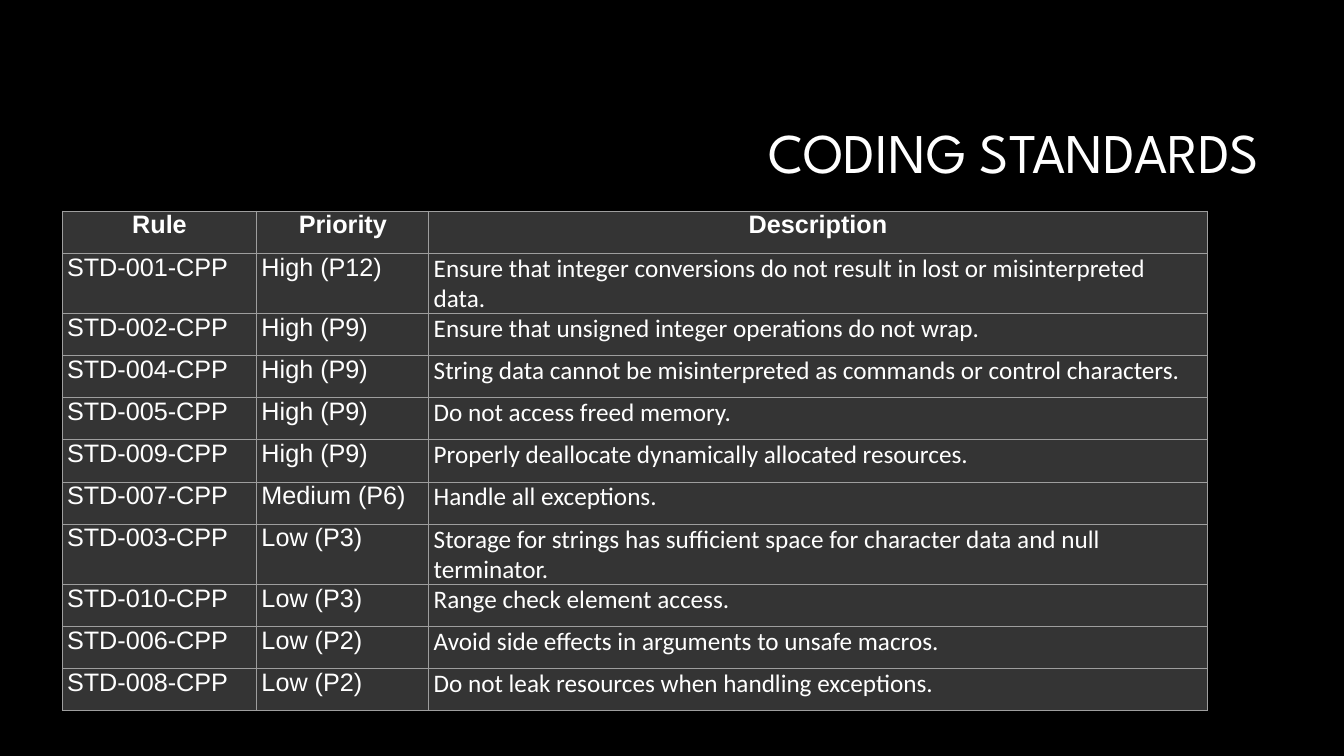
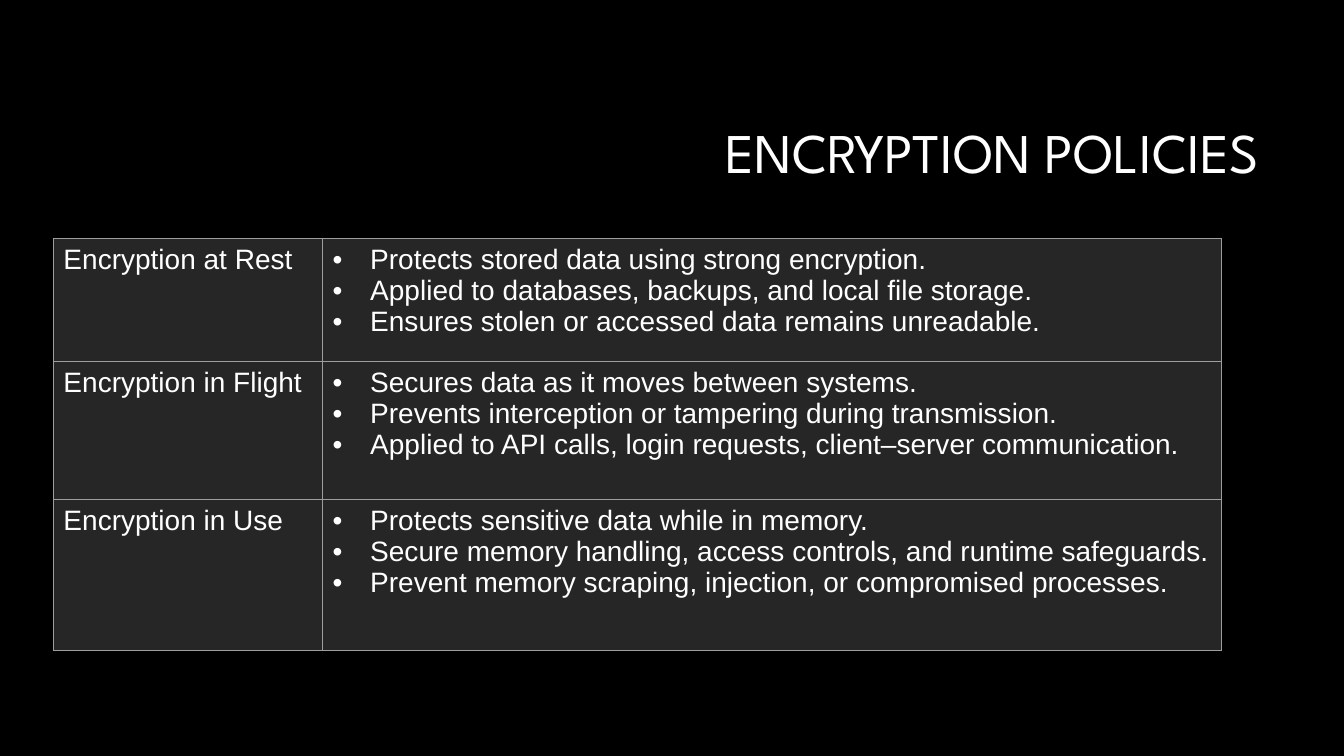
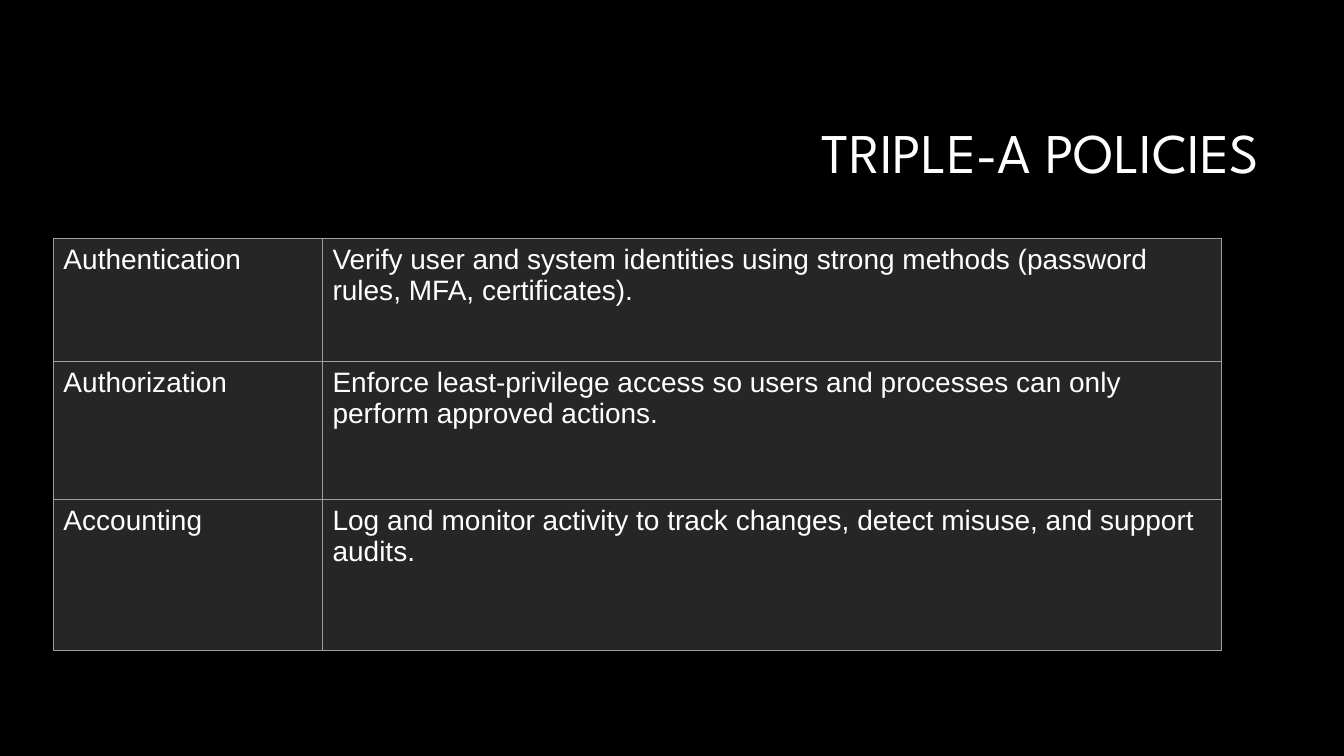
import lxml.etree
import pptx
import pptx.dml.color
import pptx.enum.text
import pptx.oxml.ns
import pptx.util

Cm = pptx.util.Cm
Pt = pptx.util.Pt
qn = pptx.oxml.ns.qn
PP_ALIGN = pptx.enum.text.PP_ALIGN

BLACK = "000000"
WHITE = "FFFFFF"
BORDER = "9E9E9E"
BORDER_WIDTH = Pt(0.75)
BULLET_INDENT = Cm(0.95)


def rgb(hex_colour):
    return pptx.dml.color.RGBColor.from_string(hex_colour)


def add_solid_fill(parent, tag, hex_colour):
    """Append a child named tag to parent, holding a plain colour."""
    element = lxml.etree.SubElement(parent, qn(tag))
    lxml.etree.SubElement(element, qn("a:srgbClr"), val=hex_colour)


standards_table = {
    "left": Cm(1.57), "top": Cm(5.32),
    "widths": [4.9, 4.34, 19.61], "heights": [1.06] * 11,
    "margins": (Cm(0.12), Cm(0)), "fill": "343434", "size": Pt(18),
    "fonts": ["Arial", "Arial", "Calibri"], "header": True,
}
policy_table = {
    "left": Cm(1.35), "top": Cm(6.02),
    "widths": [6.78, 22.66], "heights": [3.1, 3.47, 3.81],
    "margins": (Cm(0.25), Cm(0.13)), "fill": "262626", "size": Pt(20),
    "fonts": ["Arial", "Arial"], "header": False,
}

# A cell given as a list becomes a bulleted list.
slides = [
    ("CODING STANDARDS", standards_table, [
        ("Rule", "Priority", "Description"),
        ("STD-001-CPP", "High (P12)",
         "Ensure that integer conversions do not result in lost or misinterpreted data."),
        ("STD-002-CPP", "High (P9)", "Ensure that unsigned integer operations do not wrap."),
        ("STD-004-CPP", "High (P9)",
         "String data cannot be misinterpreted as commands or control characters."),
        ("STD-005-CPP", "High (P9)", "Do not access freed memory."),
        ("STD-009-CPP", "High (P9)", "Properly deallocate dynamically allocated resources."),
        ("STD-007-CPP", "Medium (P6)", "Handle all exceptions."),
        ("STD-003-CPP", "Low (P3)",
         "Storage for strings has sufficient space for character data and null terminator."),
        ("STD-010-CPP", "Low (P3)", "Range check element access."),
        ("STD-006-CPP", "Low (P2)", "Avoid side effects in arguments to unsafe macros."),
        ("STD-008-CPP", "Low (P2)", "Do not leak resources when handling exceptions."),
    ]),
    ("ENCRYPTION POLICIES", policy_table, [
        ("Encryption at Rest", [
            "Protects stored data using strong encryption.",
            "Applied to databases, backups, and local file storage.",
            "Ensures stolen or accessed data remains unreadable.",
        ]),
        ("Encryption in Flight", [
            "Secures data as it moves between systems.",
            "Prevents interception or tampering during transmission.",
            "Applied to API calls, login requests, client–server communication.",
        ]),
        ("Encryption in Use", [
            "Protects sensitive data while in memory.",
            "Secure memory handling, access controls, and runtime safeguards.",
            "Prevent memory scraping, injection, or compromised processes.",
        ]),
    ]),
    ("TRIPLE-A POLICIES", policy_table, [
        ("Authentication",
         "Verify user and system identities using strong methods "
         "(password rules, MFA, certificates)."),
        ("Authorization",
         "Enforce least-privilege access so users and processes can only "
         "perform approved actions."),
        ("Accounting",
         "Log and monitor activity to track changes, detect misuse, and support audits."),
    ]),
]

presentation = pptx.Presentation()
presentation.slide_width = Cm(33.87)
presentation.slide_height = Cm(19.05)
blank_layout = presentation.slide_layouts[6]

for title, style, rows in slides:
    slide = presentation.slides.add_slide(blank_layout)
    slide.background.fill.solid()
    slide.background.fill.fore_color.rgb = rgb(BLACK)

    title_box = slide.shapes.add_textbox(Cm(8.05), Cm(2.13), Cm(23.93), Cm(3.58))
    title_box.text_frame.word_wrap = True
    title_box.text_frame.vertical_anchor = pptx.enum.text.MSO_ANCHOR.MIDDLE
    paragraph = title_box.text_frame.paragraphs[0]
    paragraph.alignment = PP_ALIGN.RIGHT
    paragraph.line_spacing = 0.9
    run = paragraph.add_run()
    run.text = title
    run.font.name = "League Spartan"
    run.font.size = Pt(40)
    run.font.color.rgb = rgb(WHITE)

    table = slide.shapes.add_table(
        len(rows), len(style["widths"]), style["left"], style["top"],
        Cm(sum(style["widths"])), Cm(sum(style["heights"]))).table
    table.first_row = style["header"]
    table.horz_banding = False
    for column, width in zip(table.columns, style["widths"]):
        column.width = Cm(width)
    for row, height in zip(table.rows, style["heights"]):
        row.height = Cm(height)

    for row_index, row_texts in enumerate(rows):
        is_header = style["header"] and row_index == 0
        for column_index, content in enumerate(row_texts):
            cell = table.cell(row_index, column_index)
            cell.margin_left = cell.margin_right = style["margins"][0]
            cell.margin_top = cell.margin_bottom = style["margins"][1]
            cell_properties = cell._tc.get_or_add_tcPr()
            for side in ("a:lnL", "a:lnR", "a:lnT", "a:lnB"):
                line = lxml.etree.SubElement(cell_properties, qn(side), w=str(BORDER_WIDTH))
                add_solid_fill(line, "a:solidFill", BORDER)
            cell.fill.solid()
            cell.fill.fore_color.rgb = rgb(style["fill"])

            is_list = isinstance(content, list)
            for index, text in enumerate(content if is_list else [content]):
                text_frame = cell.text_frame
                paragraph = text_frame.add_paragraph() if index else text_frame.paragraphs[0]
                paragraph.alignment = PP_ALIGN.CENTER if is_header else PP_ALIGN.LEFT
                if is_list:
                    properties = paragraph._p.get_or_add_pPr()
                    properties.set("marL", str(BULLET_INDENT))
                    properties.set("indent", str(-BULLET_INDENT))
                    add_solid_fill(properties, "a:buClr", WHITE)
                    lxml.etree.SubElement(properties, qn("a:buFont"), typeface="Arial")
                    lxml.etree.SubElement(properties, qn("a:buChar"), char="•")
                run = paragraph.add_run()
                run.text = text
                run.font.name = "Arial" if is_header else style["fonts"][column_index]
                run.font.size = style["size"]
                run.font.bold = is_header
                run.font.color.rgb = rgb(WHITE)

presentation.save("out.pptx")
